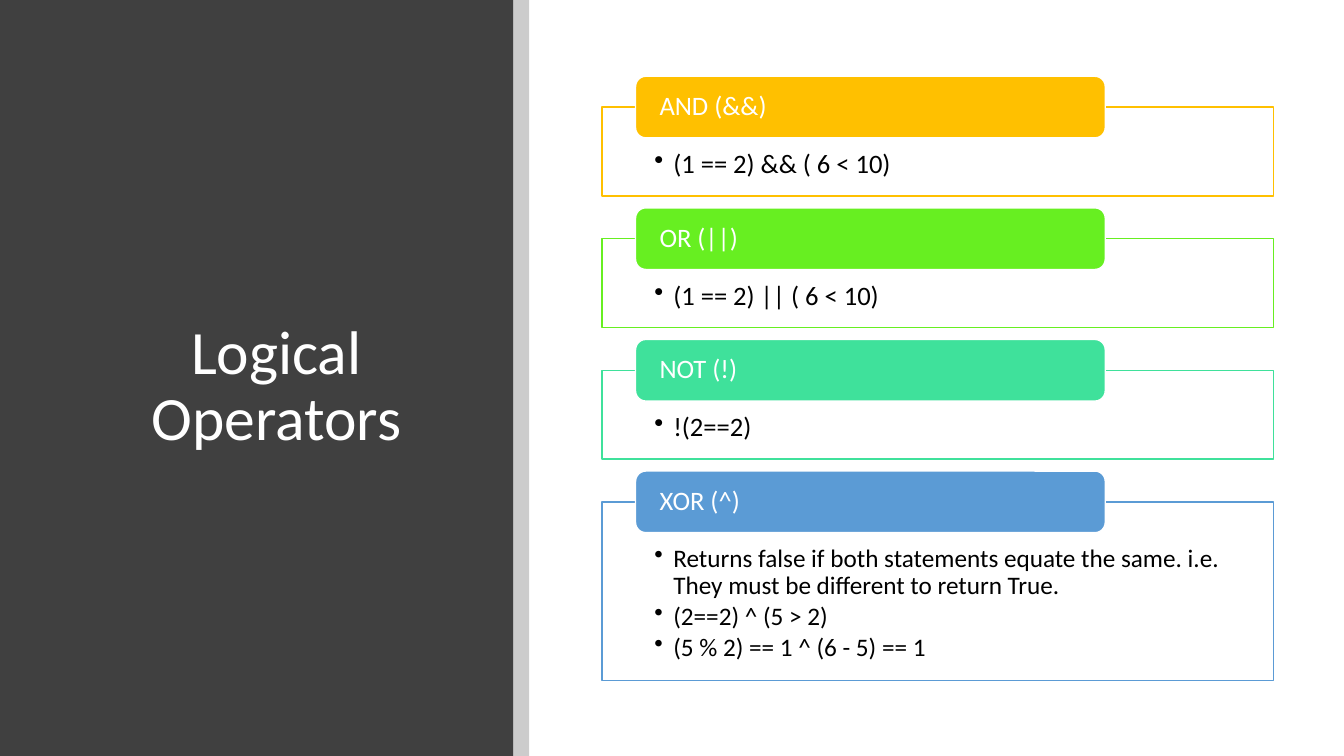
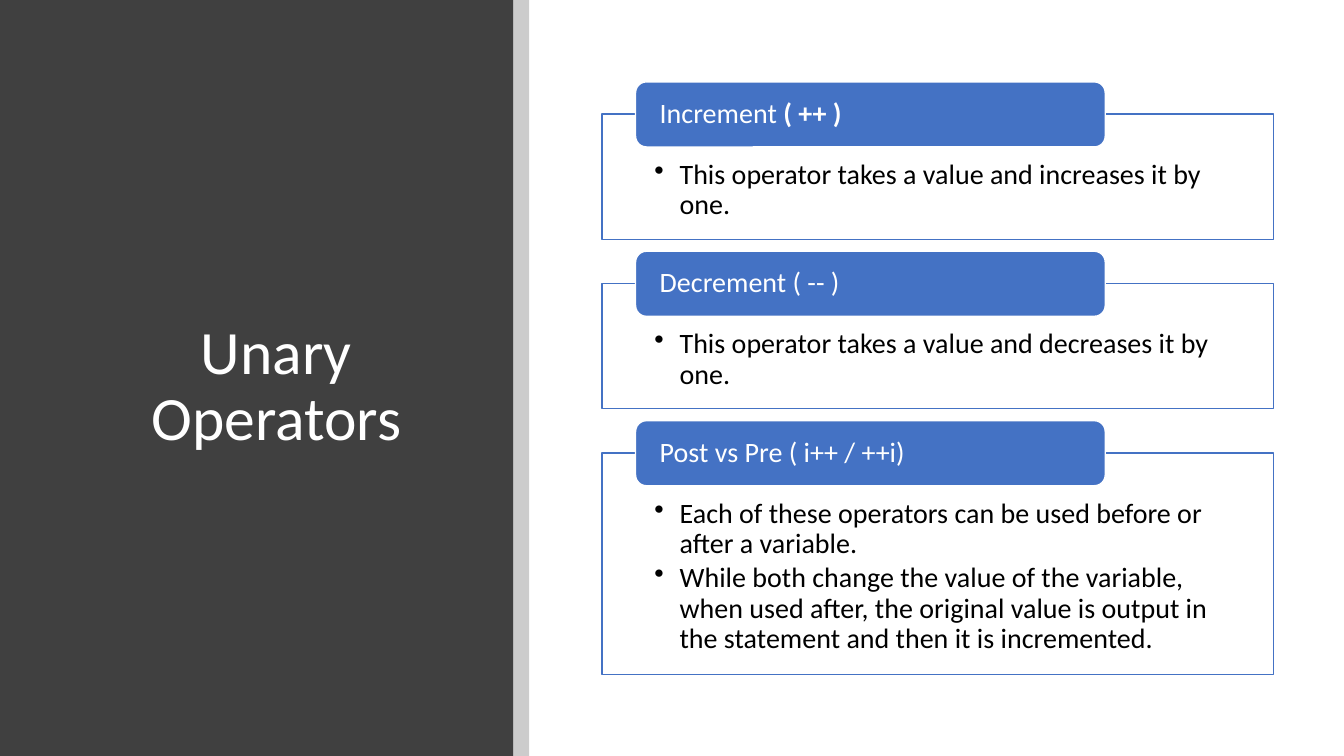
from dataclasses import dataclass

from lxml import etree
from pptx import Presentation
from pptx.dml.color import RGBColor
from pptx.enum.shapes import MSO_SHAPE
from pptx.enum.text import MSO_ANCHOR, PP_ALIGN
from pptx.oxml.ns import qn
from pptx.util import Emu, Pt

RECTANGLE = MSO_SHAPE.RECTANGLE
ROUNDED = MSO_SHAPE.ROUNDED_RECTANGLE
LEFT, CENTER = PP_ALIGN.LEFT, PP_ALIGN.CENTER
TOP, MIDDLE = MSO_ANCHOR.TOP, MSO_ANCHOR.MIDDLE
EMU_PER_PX = 6350
SLIDE_WIDTH, SLIDE_HEIGHT = 1920, 1080


@dataclass(frozen=True)
class Theme:
    font: str = "Calibri"
    title_size: int = 44
    panel: str = "404040"
    white: str = "FFFFFF"
    black: str = "000000"
    gold: str = "FFC000"
    green: str = "67EF21"
    mint: str = "3FE19B"
    sky: str = "5B9BD5"
    blue: str = "4472C4"
    line_width: int = 1
    line_spacing: float = 0.9
    bullet_gap: float = 0.15


@dataclass(frozen=True)
class CardStyle:
    tab_height: int
    tab_size: int
    body_top_inset: int
    hanging: int
    gap: int = 17


@dataclass(frozen=True)
class Card:
    heading: tuple
    bullets: tuple
    color: str
    height: int
    size: int


THEME = Theme()
PANEL_BOX = (0, 0, 733, SLIDE_HEIGHT)
STRIPE_BOX = (733, 0, 23, SLIDE_HEIGHT)
TITLE_BOX = (132, 128, 526, 851)
CARDS_LEFT, CARDS_WIDTH = 860, 959


def px(length):
    return Emu(length * EMU_PER_PX)


def add_box(slide, box, fill, kind=RECTANGLE, line=None, opacity=100):
    shape = slide.shapes.add_shape(kind, *map(px, box))
    shape.shadow.inherit = False
    shape.fill.solid()
    shape.fill.fore_color.rgb = RGBColor.from_string(fill)
    if opacity < 100:
        color = shape.fill._xPr.find(".//" + qn("a:srgbClr"))
        etree.SubElement(color, qn("a:alpha")).set("val", str(opacity * 1000))
    if line:
        shape.line.color.rgb = RGBColor.from_string(line)
        shape.line.width = Pt(THEME.line_width)
    else:
        shape.line.fill.background()
    return shape


def add_bullet(paragraph, hanging):
    paragraph.level = 1
    properties = paragraph._p.get_or_add_pPr()
    properties.set("marL", str(px(hanging)))
    properties.set("indent", str(-px(hanging)))
    etree.SubElement(properties, qn("a:buChar")).set("char", "•")


def write_text(shape, paragraphs, size, color, align=LEFT, anchor=TOP,
               insets=(14, 7, 14, 7), hanging=0, space_after=0):
    frame = shape.text_frame
    frame.word_wrap = True
    frame.vertical_anchor = anchor
    (frame.margin_left, frame.margin_top,
     frame.margin_right, frame.margin_bottom) = map(px, insets)
    for index, runs in enumerate(paragraphs):
        paragraph = frame.add_paragraph() if index else frame.paragraphs[0]
        if hanging:
            add_bullet(paragraph, hanging)
        paragraph.alignment = align
        paragraph.line_spacing = THEME.line_spacing
        paragraph.space_after = Pt(space_after)
        for text, bold in runs:
            run = paragraph.add_run()
            run.text = text
            run.font.name = THEME.font
            run.font.size = Pt(size)
            run.font.bold = bold
            run.font.color.rgb = RGBColor.from_string(color)


def add_title_panel(slide, title):
    add_box(slide, PANEL_BOX, THEME.panel)
    title_shape = slide.shapes.add_textbox(*map(px, TITLE_BOX))
    write_text(title_shape, [[(title, False)]], THEME.title_size, THEME.white,
               align=CENTER, anchor=MIDDLE)
    add_box(slide, STRIPE_BOX, THEME.black, opacity=20)


def add_card(slide, box, card, style):
    left, top, width, height = box
    overlap = style.tab_height // 2
    body = add_box(slide, (left, top + overlap, width, height - overlap),
                   THEME.white, line=card.color, opacity=90)
    write_text(body, [[(text, False)] for text in card.bullets], card.size,
               THEME.black, insets=(75, style.body_top_inset, 75, 22),
               hanging=style.hanging, space_after=card.size * THEME.bullet_gap)
    tab_box = (left + round(width * 0.05), top, round(width * 0.7), style.tab_height)
    tab = add_box(slide, tab_box, card.color, kind=ROUNDED, line=THEME.white)
    write_text(tab, [card.heading], style.tab_size, THEME.white,
               anchor=MIDDLE, insets=(30, 0, 30, 0))


def add_card_slide(presentation, title, top, cards, style):
    slide = presentation.slides.add_slide(presentation.slide_layouts[6])
    add_title_panel(slide, title)
    for card in cards:
        height = style.tab_height // 2 + card.height
        add_card(slide, (CARDS_LEFT, top, CARDS_WIDTH, height), card, style)
        top += height + style.gap


def plain(text):
    return ((text, False),)


LOGICAL_STYLE = CardStyle(tab_height=88, tab_size=19, body_top_inset=62, hanging=27)
LOGICAL_CARDS = (
    Card(plain("AND (&&)"), ("(1 == 2) && ( 6 < 10)",), THEME.gold, 127, 19),
    Card(plain("OR (||)"), ("(1 == 2) || ( 6 < 10)",), THEME.green, 127, 19),
    Card(plain("NOT (!)"), ("!(2==2)",), THEME.mint, 127, 19),
    Card(plain("XOR (^)"), (
        "Returns false if both statements equate the same. i.e. "
        "They must be different to return True.",
        "(2==2) ^ (5 > 2)",
        "(5 % 2) == 1 ^ (6 - 5) == 1",
    ), THEME.sky, 255, 18),
)

UNARY_STYLE = CardStyle(tab_height=93, tab_size=20, body_top_inset=66, hanging=36)
UNARY_CARDS = (
    Card((("Increment", False), (" ( ++ )", True)),
         ("This operator takes a value and increases it by one.",),
         THEME.blue, 179, 20),
    Card(plain("Decrement ( -- )"),
         ("This operator takes a value and decreases it by one.",),
         THEME.blue, 179, 20),
    Card(plain("Post vs Pre ( i++ / ++i)"), (
        "Each of these operators can be used before or after a variable.",
        "While both change the value of the variable, when used after, "
        "the original value is output in the statement and then it is incremented.",
    ), THEME.blue, 317, 20),
)


def main():
    presentation = Presentation()
    presentation.slide_width = px(SLIDE_WIDTH)
    presentation.slide_height = px(SLIDE_HEIGHT)
    add_card_slide(presentation, "Logical Operators", 109, LOGICAL_CARDS, LOGICAL_STYLE)
    add_card_slide(presentation, "Unary Operators", 117, UNARY_CARDS, UNARY_STYLE)
    presentation.save("out.pptx")


if __name__ == "__main__":
    main()
